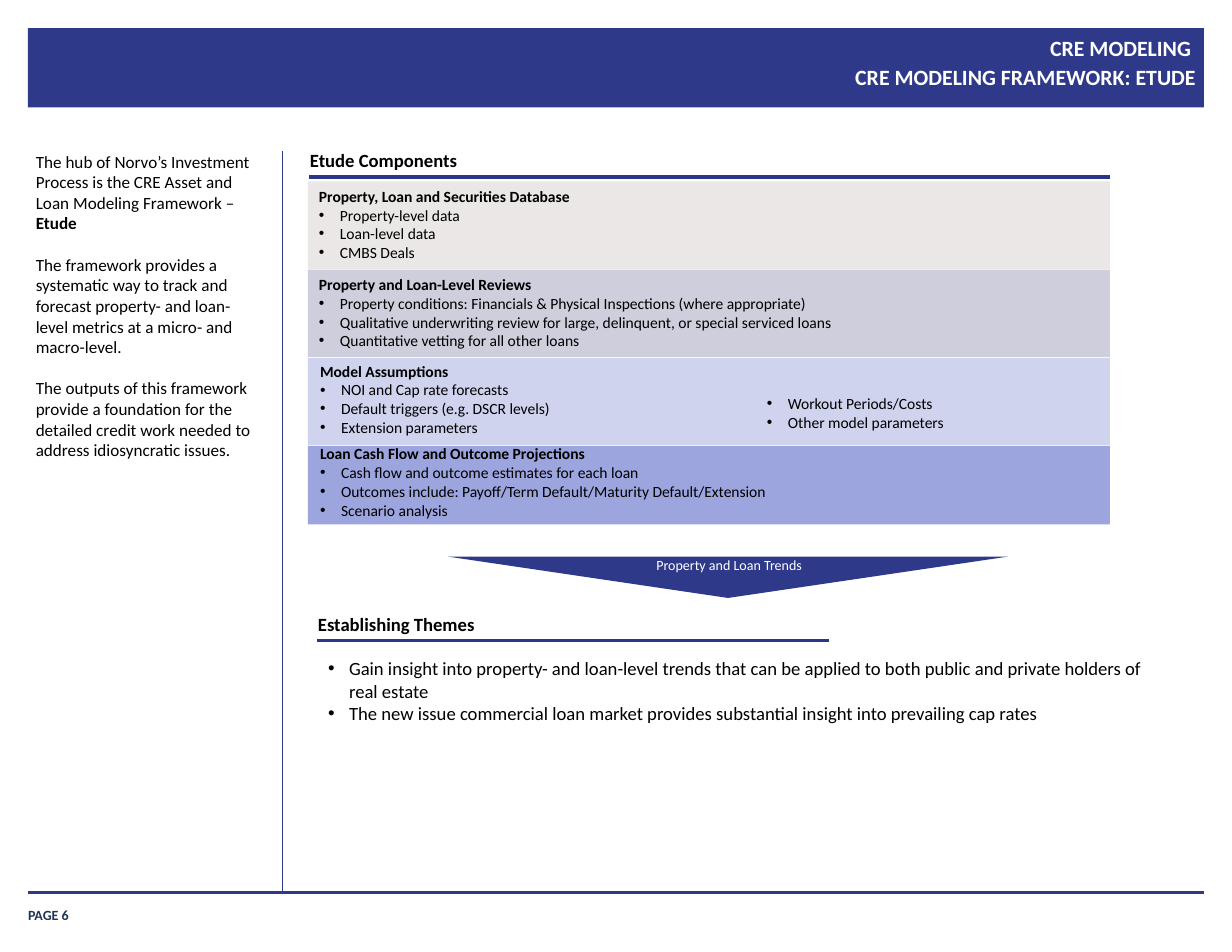
from lxml.etree import SubElement
from pptx import Presentation
from pptx.dml.color import RGBColor
from pptx.enum.shapes import MSO_CONNECTOR, MSO_SHAPE
from pptx.enum.text import MSO_ANCHOR, PP_ALIGN
from pptx.oxml.ns import qn
from pptx.util import Pt

COLORS = {
    "navy": "2E398A", "rule": "2B3689", "page": "203353",
    "black": "000000", "white": "FFFFFF",
    "database": "EAE7E6", "reviews": "CECEDC",
    "assumptions": "CFD3EE", "projections": "9DA5DE",
}
FONT = "Calibri"
INDENT = 13.5
BAND_LEFT, BAND_TOP, BAND_WIDTH, BAND_STEP = 198, 116.6, 515.5, 56.7

# fill, band height, text left, text top, heading, bullets
COMPONENTS = [
    ("database", 56.2, 198, 116.6, "Property, Loan and Securities Database",
     ["Property-level data", "Loan-level data", "CMBS Deals"]),
    ("reviews", 56.2, 198, 173.3, "Property and Loan-Level Reviews",
     ["Property conditions: Financials & Physical Inspections (where appropriate)",
      "Qualitative underwriting review for large, delinquent, or special serviced loans",
      "Quantitative vetting for all other loans"]),
    ("assumptions", 56.2, 198.7, 229, "Model Assumptions",
     ["NOI and Cap rate forecasts", "Default triggers (e.g. DSCR levels)",
      "Extension parameters"]),
    ("projections", 50.4, 198.7, 282.2, "Loan Cash Flow and Outcome Projections",
     ["Cash flow and outcome estimates for each loan",
      "Outcomes include: Payoff/Term Default/Maturity Default/Extension",
      "Scenario analysis"]),
]
MORE_ASSUMPTIONS = ["Workout Periods/Costs", "Other model parameters"]
THEMES = [
    "Gain insight into property- and loan-level trends that can be applied to both "
    "public and private holders of real estate",
    "The new issue commercial loan market provides substantial insight into "
    "prevailing cap rates",
]
SIDEBAR = [
    "The hub of Norvo’s Investment Process is the CRE Asset and Loan Modeling Framework – ",
    "The framework provides a systematic way to track and forecast property- and "
    "loan-level metrics at a micro- and macro-level.",
    "The outputs of this framework provide a foundation for the detailed credit work "
    "needed to address idiosyncratic issues.",
]


def rgb(name):
    return RGBColor.from_string(COLORS[name])


def add_block(slide, kind, left, top, width, height, fill):
    block = slide.shapes.add_shape(kind, Pt(left), Pt(top), Pt(width), Pt(height))
    block.shadow.inherit = False
    block.fill.solid()
    block.fill.fore_color.rgb = rgb(fill)
    block.line.fill.background()
    return block


def add_rule(slide, x1, y1, x2, y2, color, weight=2.25):
    rule = slide.shapes.add_connector(
        MSO_CONNECTOR.STRAIGHT, Pt(x1), Pt(y1), Pt(x2), Pt(y2))
    rule.line.color.rgb = rgb(color)
    rule.line.width = Pt(weight)
    SubElement(rule._element.spPr, qn("a:effectLst"))


def add_frame(slide, left, top, width, height, inset=True):
    frame = slide.shapes.add_textbox(
        Pt(left), Pt(top), Pt(width), Pt(height)).text_frame
    frame.word_wrap = True
    if not inset:
        frame.margin_left = frame.margin_right = 0
        frame.margin_top = frame.margin_bottom = 0
    return frame


def style_runs(paragraph, size, color="black", bold=False):
    for run in paragraph.runs:
        run.font.name = FONT
        run.font.size = Pt(size)
        run.font.bold = bold
        run.font.color.rgb = rgb(color)


def add_label(slide, left, top, width, height, text, size, color="black",
              bold=True, align=PP_ALIGN.LEFT, inset=True):
    frame = add_frame(slide, left, top, width, height, inset)
    label = frame.paragraphs[0]
    label.text = text
    label.alignment = align
    style_runs(label, size, color, bold)
    return frame


def make_bullet(paragraph):
    properties = paragraph._p.get_or_add_pPr()
    properties.set("marL", str(Pt(INDENT)))
    properties.set("indent", str(-Pt(INDENT)))
    SubElement(properties, qn("a:buFont"), typeface="Arial")
    SubElement(properties, qn("a:buChar"), char="•")


def add_list(slide, left, top, width, height, bullets, size, heading=None):
    """Bulleted text, optionally led by a bold heading."""
    frame = add_frame(slide, left, top, width, height)
    lines = ([heading] if heading else []) + bullets
    frame.text = "\n".join(lines)
    for line, paragraph in zip(lines, frame.paragraphs):
        if line != heading:
            make_bullet(paragraph)
        style_runs(paragraph, size, bold=line == heading)


def add_header_and_footer(slide):
    add_block(slide, MSO_SHAPE.RECTANGLE, 18, 18, 756, 51.1, "navy")
    title = add_label(slide, 228.2, 20.9, 540.8, 48.2,
                      "CRE MODELING \vCRE MODELING FRAMEWORK: ETUDE", 14, "white",
                      align=PP_ALIGN.RIGHT, inset=False)
    title.paragraphs[0].line_spacing = 1.1
    page = add_label(slide, 18, 576.7, 65.5, 16.6, "PAGE 6", 9, "page", inset=False)
    page.vertical_anchor = MSO_ANCHOR.BOTTOM
    add_rule(slide, 18, 573.8, 774, 573.8, "navy")


def add_sidebar(slide):
    frame = add_frame(slide, 23, 97.2, 144.7, 394.6, inset=False)
    frame.text = "\n".join(SIDEBAR)
    for paragraph in frame.paragraphs:
        paragraph.space_after = Pt(13.4)
        style_runs(paragraph, 11)
    hub = frame.paragraphs[0]
    hub.add_run().text = "Etude"
    style_runs(hub, 11)
    hub.runs[-1].font.bold = True
    add_rule(slide, 181.4, 97.2, 181.4, 574.6, "navy", 0.5)


def add_components(slide):
    add_label(slide, 192.2, 92.2, 164.9, 21.6, "Etude Components", 12)
    for row, (fill, height, left, top, heading, bullets) in enumerate(COMPONENTS):
        add_block(slide, MSO_SHAPE.RECTANGLE, BAND_LEFT, BAND_TOP + row * BAND_STEP,
                  BAND_WIDTH, height, fill)
        add_list(slide, left, top, 545, 55.4, bullets, 10, heading)
    add_list(slide, 486, 249.8, 218.2, 34.6, MORE_ASSUMPTIONS, 10)
    add_rule(slide, 198.7, 113.8, 713.5, 113.8, "rule")


def add_themes(slide):
    arrow = add_block(slide, MSO_SHAPE.ISOSCELES_TRIANGLE, 288, 357.8, 360, 26.6, "navy")
    arrow.rotation = 180
    add_label(slide, 403.9, 354.2, 129.6, 18, "Property and Loan Trends", 9, "white",
              bold=False, align=PP_ALIGN.CENTER)
    add_label(slide, 197.3, 390.2, 164.9, 21.6, "Establishing Themes", 12)
    add_rule(slide, 203.8, 411.8, 532.8, 411.8, "rule")
    add_list(slide, 203.8, 419, 547.9, 51.1, THEMES, 12)


def main():
    presentation = Presentation()
    presentation.slide_width = Pt(792)
    presentation.slide_height = Pt(612)
    slide = presentation.slides.add_slide(presentation.slide_layouts[6])
    add_header_and_footer(slide)
    add_sidebar(slide)
    add_components(slide)
    add_themes(slide)
    presentation.save("out.pptx")


if __name__ == "__main__":
    main()
